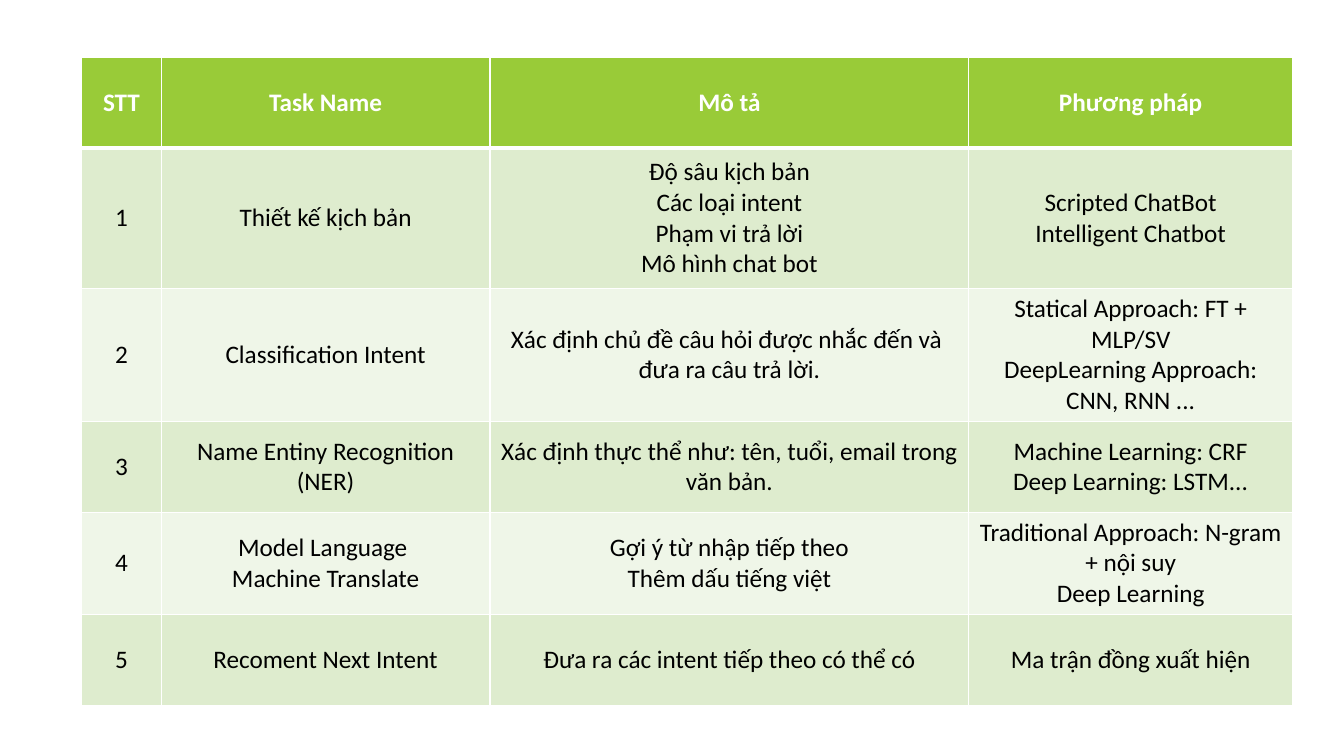
from pptx import Presentation
from pptx.dml.color import RGBColor
from pptx.enum import text
from pptx.oxml import parse_xml
from pptx.oxml.ns import nsdecls
from pptx.util import Inches, Pt

COLORS = {
    "header": "99CB38",
    "odd_row": "DEECCE",
    "even_row": "EFF6E8",
    "border": "FFFFFF",
    "header_text": "FFFFFF",
    "body_text": "000000",
}
COLUMN_WIDTHS = [0.79, 3.26, 4.75, 3.21]
ROW_HEIGHTS = [0.9, 1.39, 0.9, 0.9, 0.9, 0.9]
TASKS = [
    ["STT", "Task Name", "Mô tả", "Phương pháp"],
    ["1", "Thiết kế kịch bản",
     "Độ sâu kịch bản\nCác loại intent\nPhạm vi trả lời\nMô hình chat bot",
     "Scripted ChatBot\nIntelligent Chatbot"],
    ["2", "Classification Intent",
     "Xác định chủ đề câu hỏi được nhắc đến và \nđưa ra câu trả lời.",
     "Statical Approach: FT + MLP/SV\nDeepLearning Approach: CNN, RNN ..."],
    ["3", "Name Entiny Recognition\n(NER)",
     "Xác định thực thể như: tên, tuổi, email trong văn bản.",
     "Machine Learning: CRF\nDeep Learning: LSTM..."],
    ["4", "Model Language \nMachine Translate",
     "Gợi ý từ nhập tiếp theo\nThêm dấu tiếng việt",
     "Traditional Approach: N-gram + nội suy\nDeep Learning"],
    ["5", "Recoment Next Intent", "Đưa ra các intent tiếp theo có thể có",
     "Ma trận đồng xuất hiện"],
]


def rgb(name):
    return RGBColor.from_string(COLORS[name])


def write_text(text_frame, content, *, color, size=18, bold=False, font="Calibri",
               align=text.PP_ALIGN.CENTER):
    """Write one paragraph per line of content."""
    text_frame.text = content
    for paragraph in text_frame.paragraphs:
        paragraph.alignment = align
        for run in paragraph.runs:
            run.font.name = font
            run.font.size = Pt(size)
            run.font.bold = bold
            run.font.color.rgb = rgb(color)


def set_borders(cell, top=1, bottom=1):
    """Add the four borders, which must come before the fill."""
    properties = cell._tc.get_or_add_tcPr()
    for side, width in {"L": 1, "R": 1, "T": top, "B": bottom}.items():
        properties.append(parse_xml(
            f'<a:ln{side} {nsdecls("a")} w="{Pt(width)}"><a:solidFill>'
            f'<a:srgbClr val="{COLORS["border"]}"/></a:solidFill></a:ln{side}>'))


def format_cell(cell, row_index, content):
    header = row_index == 0
    set_borders(cell, top=3 if row_index == 1 else 1, bottom=3 if header else 1)
    fill = "header" if header else "odd_row" if row_index % 2 else "even_row"
    cell.fill.solid()
    cell.fill.fore_color.rgb = rgb(fill)
    cell.vertical_anchor = text.MSO_ANCHOR.MIDDLE
    write_text(cell.text_frame, content, bold=header,
               color="header_text" if header else "body_text")


def add_task_table(slide, left, top):
    table = slide.shapes.add_table(
        len(ROW_HEIGHTS), len(COLUMN_WIDTHS), Inches(left), Inches(top),
        Inches(sum(COLUMN_WIDTHS)), Inches(sum(ROW_HEIGHTS))).table
    for column, width in zip(table.columns, COLUMN_WIDTHS):
        column.width = Inches(width)
    for row_index, (row, height) in enumerate(zip(table.rows, ROW_HEIGHTS)):
        row.height = Inches(height)
        for cell, content in zip(row.cells, TASKS[row_index]):
            format_cell(cell, row_index, content)


def main():
    presentation = Presentation()
    presentation.slide_width = Inches(13.33)
    presentation.slide_height = Inches(7.5)
    slide = presentation.slides.add_slide(presentation.slide_layouts[6])
    add_task_table(slide, 0.81, 0.57)
    presentation.save("out.pptx")


if __name__ == "__main__":
    main()
